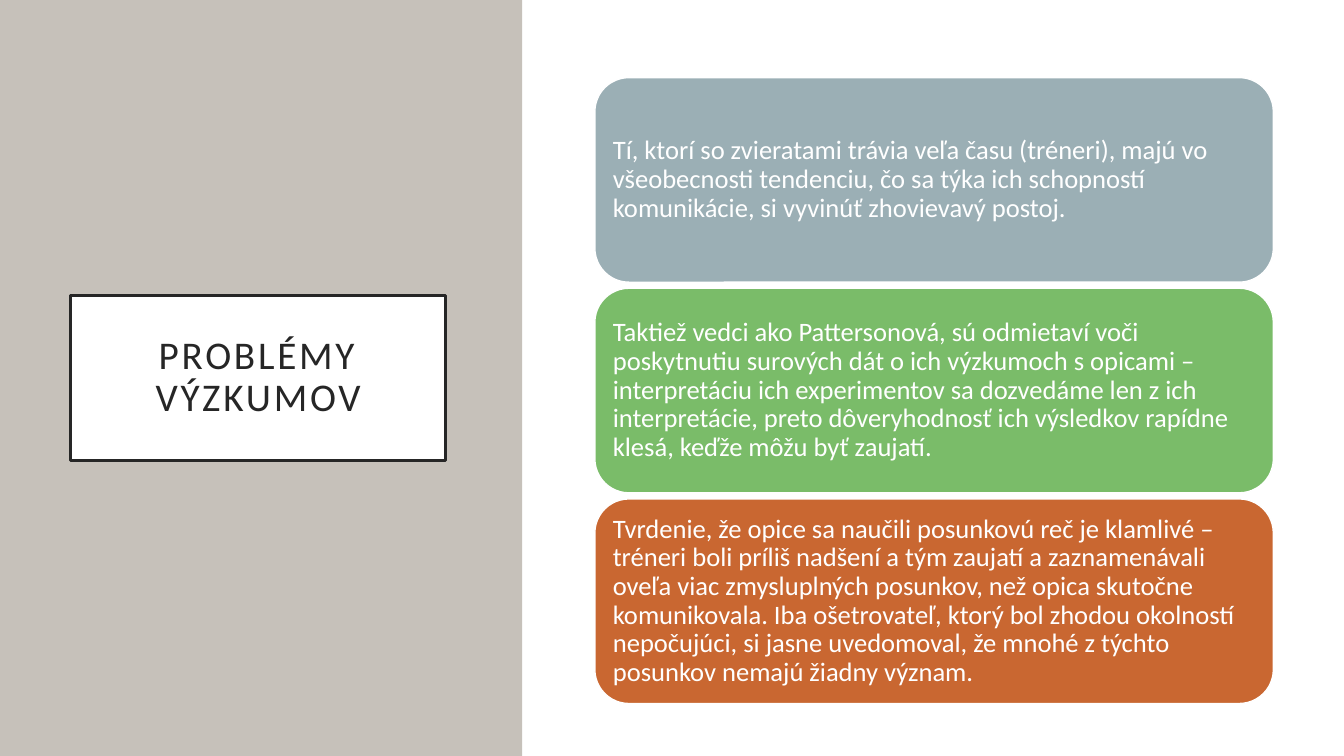
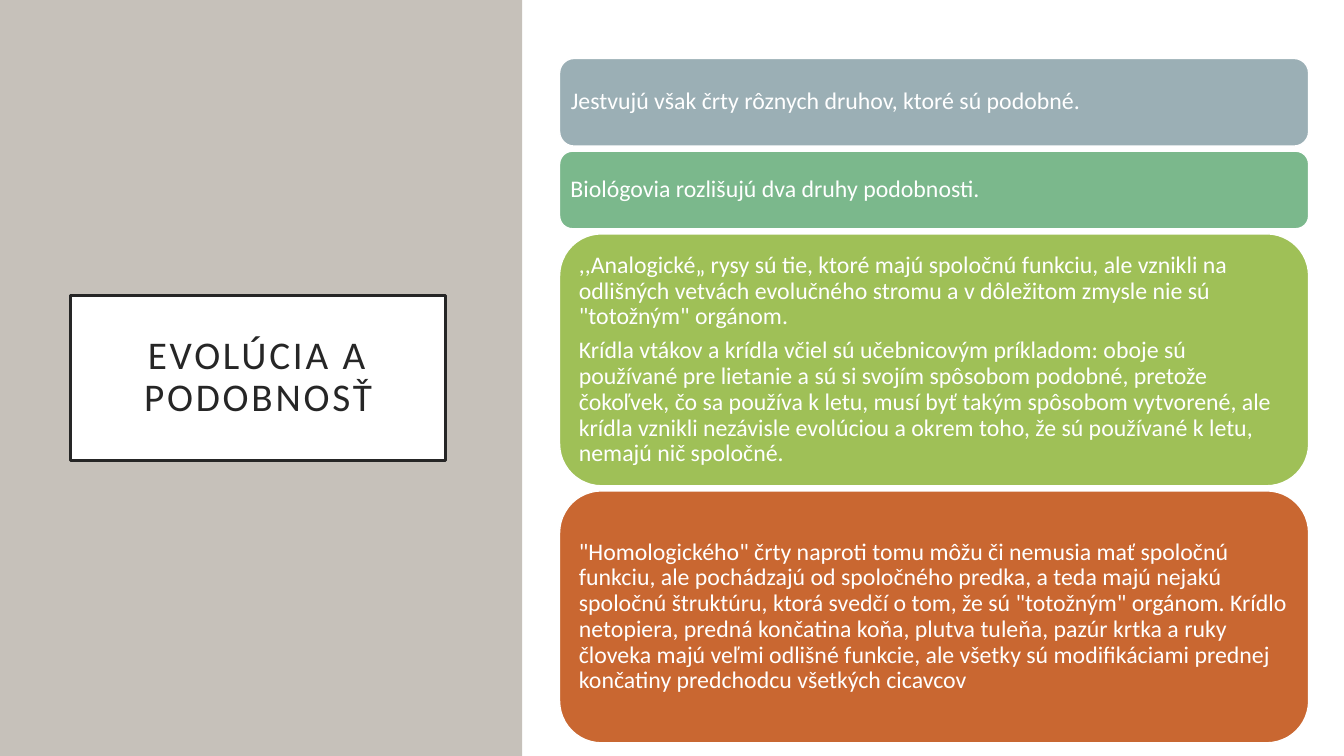
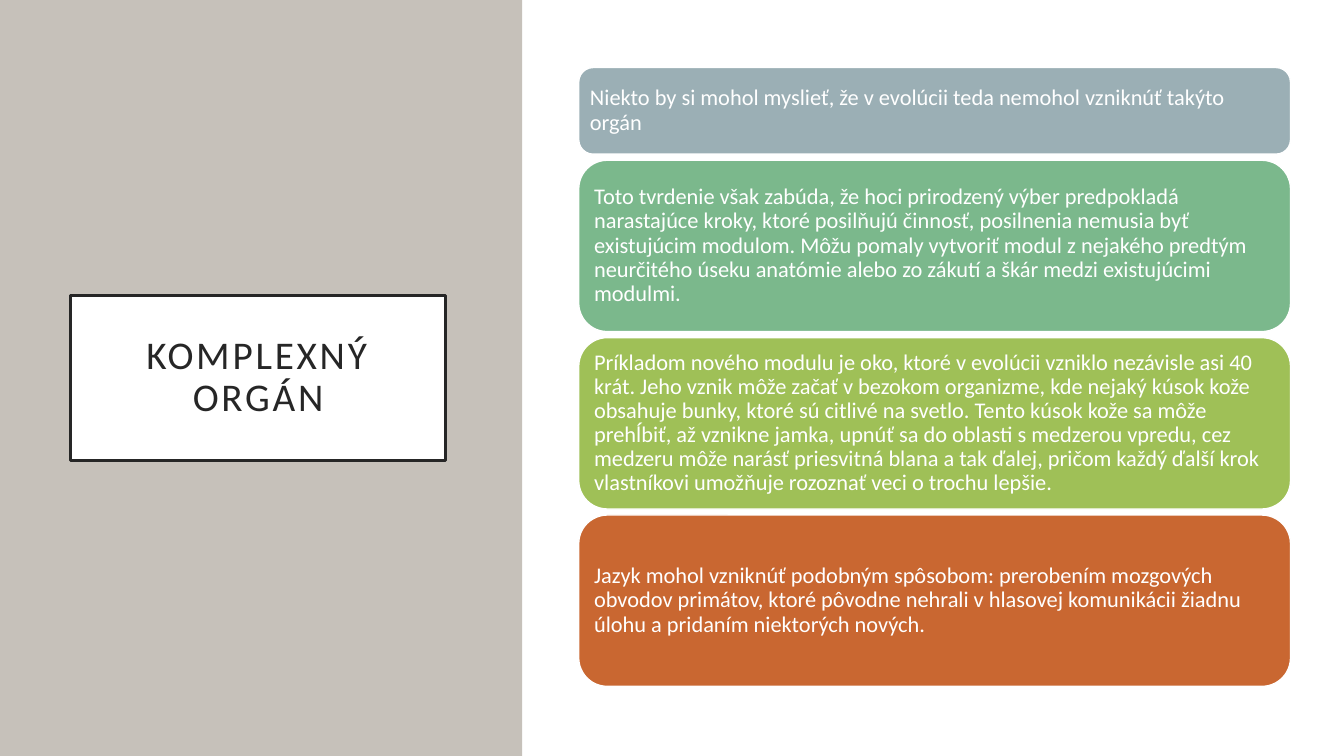
"""Build three slides that pair a framed title with a stack of rounded cards."""
from pptx import Presentation
from pptx.dml.color import RGBColor
from pptx.enum.shapes import MSO_SHAPE
from pptx.enum.text import MSO_ANCHOR, PP_ALIGN
from pptx.util import Inches, Pt

RECT, ROUND = MSO_SHAPE.RECTANGLE, MSO_SHAPE.ROUNDED_RECTANGLE
MIDDLE = MSO_ANCHOR.MIDDLE
LEFT, CENTER = PP_ALIGN.LEFT, PP_ALIGN.CENTER

THEME = {
    "font": "Calibri",
    "title": 28,
    "track": 2,
    "lead": 0.9,
    "after": 0.35,
    "frame": 2.5,
    "edge": 1,
    "ink": "262626",
    "white": "FFFFFF",
    "sand": "C6C1BA",
    "slate": "9BAFB5",
    "leaf": "7ABC69",
    "mint": "7BB88C",
    "lime": "9FC057",
    "rust": "C96731",
}
WIDE, HIGH = 13.33, 7.5
SIDE = (0, 0, 5.18, HIGH)
PANEL = (5.2, 0, WIDE - 5.2, HIGH)
FRAME = (0.7, 2.93, 3.72, 1.64)

SLIDES = [
    {
        "title": "PROBLÉMY VÝZKUMOV",
        "left": 5.9, "top": 0.77, "width": 6.73, "gap": 0.06,
        "size": 19, "pad": 0.08,
        "cards": [
            ("slate", 2.03, [
                "Tí, ktorí so zvieratami trávia veľa času (tréneri), majú vo "
                "všeobecnosti tendenciu, čo sa týka ich schopností "
                "komunikácie, si vyvinúť zhovievavý postoj."]),
            ("leaf", 2.03, [
                "Taktiež vedci ako Pattersonová, sú odmietaví voči "
                "poskytnutiu surových dát o ich výzkumoch s opicami – "
                "interpretáciu ich experimentov sa dozvedáme len z ich "
                "interpretácie, preto dôveryhodnosť ich výsledkov rapídne "
                "klesá, keďže môžu byť zaujatí."]),
            ("rust", 2.03, [
                "Tvrdenie, že opice sa naučili posunkovú reč je klamlivé – "
                "tréneri boli príliš nadšení a tým zaujatí a zaznamenávali "
                "oveľa viac zmysluplných posunkov, než opica skutočne "
                "komunikovala. Iba ošetrovateľ, ktorý bol zhodou okolností "
                "nepočujúci, si jasne uvedomoval, že mnohé z týchto "
                "posunkov nemajú žiadny význam."]),
        ],
    },
    {
        "title": "EVOLÚCIA A PODOBNOSŤ",
        "left": 5.55, "top": 0.58, "width": 7.43, "gap": 0.05,
        "size": 17, "pad": 0.07,
        "cards": [
            ("slate", 0.87, [
                "Jestvujú však črty rôznych druhov, ktoré sú podobné."]),
            ("mint", 0.77, [
                "Biológovia rozlišujú dva druhy podobnosti. "]),
            ("lime", 2.5, [
                ",,Analogické„ rysy sú tie, ktoré majú spoločnú funkciu, ale "
                "vznikli na odlišných vetvách evolučného stromu a v "
                "dôležitom zmysle nie sú \"totožným\" orgánom. ",
                "Krídla vtákov a krídla včiel sú učebnicovým príkladom: "
                "oboje sú používané pre lietanie a sú si svojím spôsobom "
                "podobné, pretože čokoľvek, čo sa používa k letu, musí byť "
                "takým spôsobom vytvorené, ale krídla vznikli nezávisle "
                "evolúciou a okrem toho, že sú používané k letu, nemajú nič "
                "spoločné."]),
            ("rust", 2.5, [
                "\"Homologického\" črty naproti tomu môžu či nemusia mať "
                "spoločnú funkciu, ale pochádzajú od spoločného predka, a "
                "teda majú nejakú spoločnú štruktúru, ktorá svedčí o tom, že "
                "sú \"totožným\" orgánom. Krídlo netopiera, predná končatina "
                "koňa, plutva tuleňa, pazúr krtka a ruky človeka majú veľmi "
                "odlišné funkcie, ale všetky sú modifikáciami prednej "
                "končatiny predchodcu všetkých cicavcov"]),
        ],
    },
    {
        "title": "KOMPLEXNÝ ORGÁN",
        "left": 5.74, "top": 0.67, "width": 7.06, "gap": 0.06,
        "size": 16, "pad": 0.07,
        "cards": [
            ("slate", 0.86, [
                "Niekto by si mohol myslieť, že v evolúcii teda nemohol "
                "vzniknúť takýto orgán"]),
            ("mint", 1.7, [
                "Toto tvrdenie však zabúda, že hoci prirodzený výber "
                "predpokladá narastajúce kroky, ktoré posilňujú činnosť, "
                "posilnenia nemusia byť existujúcim modulom. Môžu pomaly "
                "vytvoriť modul z nejakého predtým neurčitého úseku anatómie "
                "alebo zo zákutí a škár medzi existujúcimi modulmi."]),
            ("lime", 1.7, [
                "Príkladom nového modulu je oko, ktoré v evolúcii vzniklo "
                "nezávisle asi 40 krát. Jeho vznik môže začať v bezokom "
                "organizme, kde nejaký kúsok kože obsahuje bunky, ktoré sú "
                "citlivé na svetlo. Tento kúsok kože sa môže prehĺbiť, až "
                "vznikne jamka, upnúť sa do oblasti s medzerou vpredu, cez "
                "medzeru môže narásť priesvitná blana a tak ďalej, pričom "
                "každý ďalší krok vlastníkovi umožňuje rozoznať veci o "
                "trochu lepšie."]),
            ("rust", 1.7, [
                "Jazyk mohol vzniknúť podobným spôsobom: prerobením "
                "mozgových obvodov primátov, ktoré pôvodne nehrali v "
                "hlasovej komunikácii žiadnu úlohu a pridaním niektorých "
                "nových."]),
        ],
    },
]


def tint(name):
    return RGBColor.from_string(THEME[name])


def add_box(slide, kind, area, fill, line=None, weight=0):
    box = slide.shapes.add_shape(kind, *map(Inches, area))
    box.shadow.inherit = False
    box.fill.solid()
    box.fill.fore_color.rgb = tint(fill)
    if line:
        box.line.color.rgb = tint(line)
        box.line.width = Pt(weight)
    else:
        box.line.fill.background()
    return box


def add_text(box, lines, size, color, pad, align, after=0, track=0):
    frame = box.text_frame
    frame.word_wrap = True
    frame.vertical_anchor = MIDDLE
    frame.margin_left = frame.margin_right = Inches(pad)
    frame.margin_top = frame.margin_bottom = Inches(pad)
    for at, line in enumerate(lines):
        para = frame.add_paragraph() if at else frame.paragraphs[0]
        para.alignment = align
        para.line_spacing = THEME["lead"]
        para.space_after = Pt(after)
        run = para.add_run()
        run.text = line
        run.font.name = THEME["font"]
        run.font.size = Pt(size)
        run.font.color.rgb = tint(color)
        if track:
            run._r.get_or_add_rPr().set("spc", str(track * 100))


def add_base(slide, title):
    add_box(slide, RECT, SIDE, "sand")
    frame = add_box(slide, RECT, FRAME, "white", "ink", THEME["frame"])
    add_text(frame, [title], THEME["title"], "ink", 0.2, CENTER,
             track=THEME["track"])
    add_box(slide, RECT, PANEL, "white")


def add_cards(slide, page):
    top, size = page["top"], page["size"]
    for fill, height, lines in page["cards"]:
        area = (page["left"], top, page["width"], height)
        card = add_box(slide, ROUND, area, fill, "white", THEME["edge"])
        add_text(card, lines, size, "white", page["pad"], LEFT,
                 after=round(size * THEME["after"]))
        top += height + page["gap"]


def main():
    deck = Presentation()
    deck.slide_width, deck.slide_height = Inches(WIDE), Inches(HIGH)
    blank = deck.slide_layouts[6]
    for page in SLIDES:
        slide = deck.slides.add_slide(blank)
        add_base(slide, page["title"])
        add_cards(slide, page)
    deck.save("out.pptx")


main()
